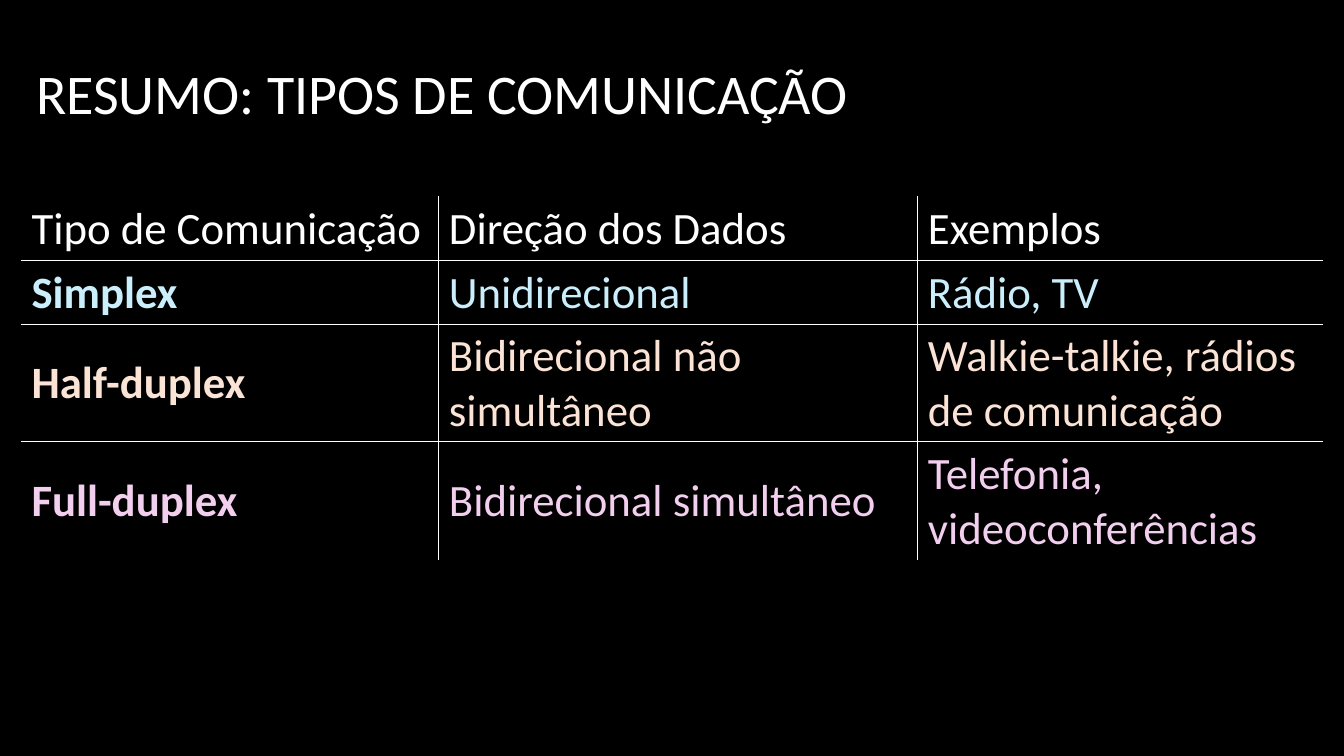
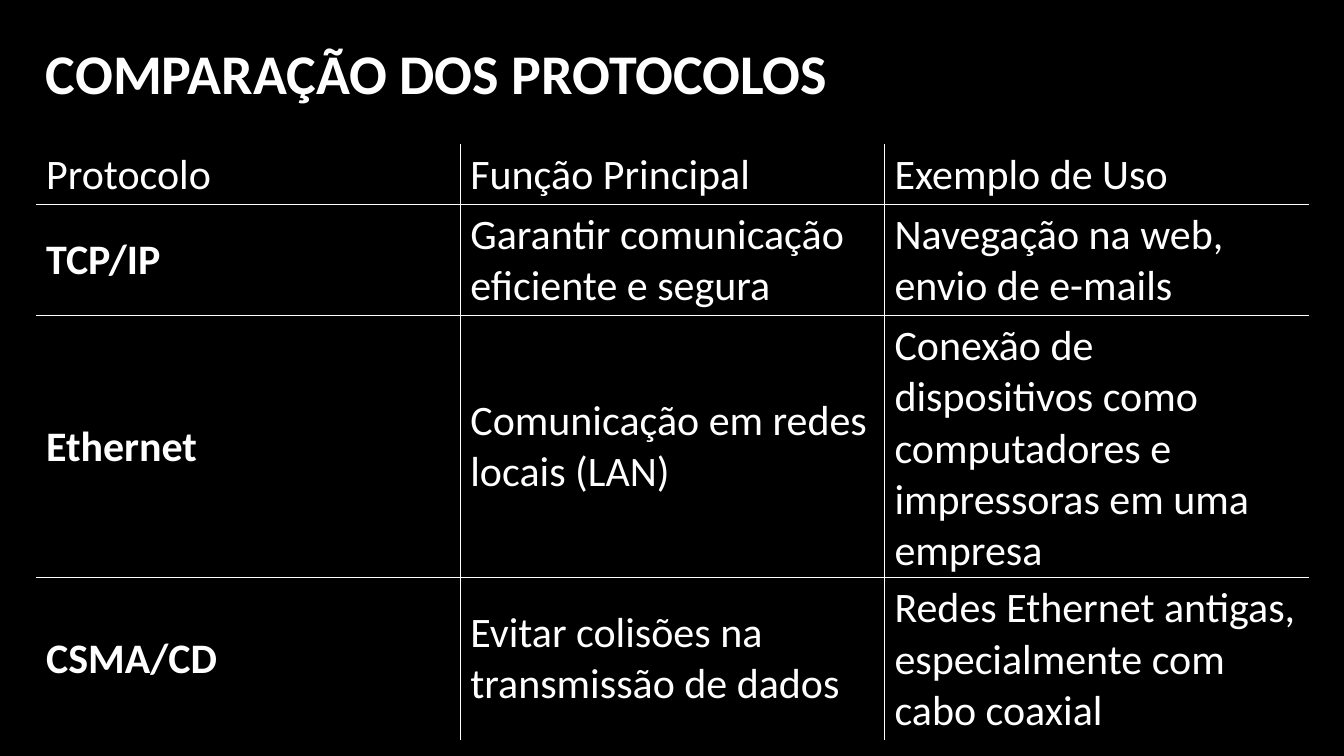
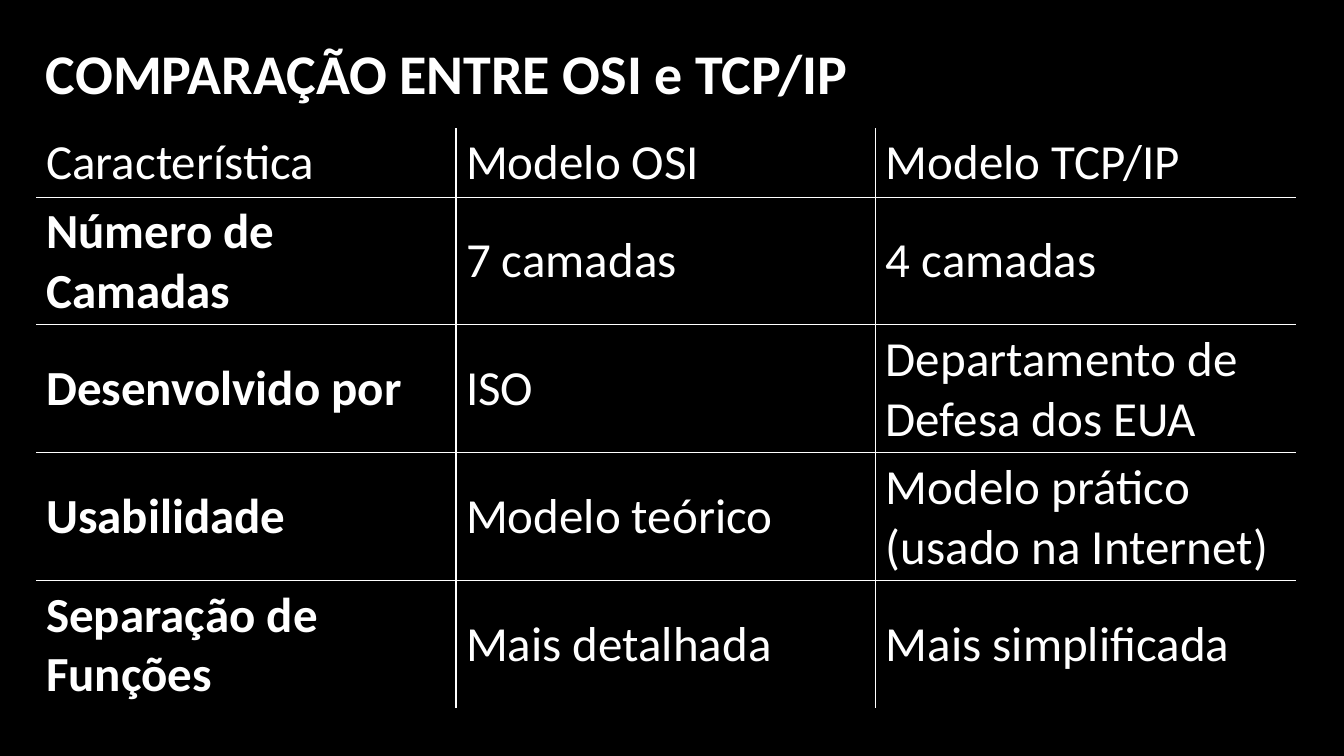
from dataclasses import dataclass

from lxml import etree
from pptx import Presentation
from pptx.dml.color import RGBColor
from pptx.enum.text import MSO_ANCHOR, MSO_AUTO_SIZE
from pptx.oxml.ns import qn
from pptx.slide import Slide
from pptx.table import _Cell
from pptx.text.text import _Paragraph
from pptx.util import Cm, Length, Pt

MIDDLE = MSO_ANCHOR.MIDDLE
GROW = MSO_AUTO_SIZE.SHAPE_TO_FIT_TEXT

BLACK = RGBColor(0x00, 0x00, 0x00)
WHITE = RGBColor(0xFF, 0xFF, 0xFF)
BLUE = RGBColor(0xCA, 0xEE, 0xFB)
PEACH = RGBColor(0xFB, 0xE3, 0xD6)
PINK = RGBColor(0xF2, 0xCF, 0xEE)

FONT = "Calibri"
LEFT = Cm(0.91)
RULE = Pt(1)


@dataclass(frozen=True)
class Title:
    text: str
    top: Length = Cm(0)
    width: Length = Cm(24.92)
    height: Length = Cm(2.57)
    bold: bool = True
    space: float | Length = 1.5
    flush: bool = False


@dataclass(frozen=True)
class Row:
    cells: tuple[str, ...]
    height: float
    tint: RGBColor = WHITE


@dataclass(frozen=True)
class Grid:
    left: Length
    top: Length
    widths: tuple[float, ...]
    size: int
    rows: tuple[Row, ...]


@dataclass(frozen=True)
class Page:
    title: Title
    grid: Grid


PAGES = (
    Page(
        Title("RESUMO: TIPOS DE COMUNICAÇÃO", Cm(0.86), Cm(24.49), Cm(2.11),
              False, Pt(65.3), True),
        Grid(Cm(0.54), Cm(4.95), (10.52, 12.07, 10.2), 32, (
            Row(("Tipo de Comunicação", "Direção dos Dados", "Exemplos"), 1.6),
            Row(("Simplex", "Unidirecional", "Rádio, TV"), 1.6, BLUE),
            Row(("Half-duplex", "Bidirecional não simultâneo",
                 "Walkie-talkie, rádios de comunicação"), 2.95, PEACH),
            Row(("Full-duplex", "Bidirecional simultâneo",
                 "Telefonia, videoconferências"), 2.95, PINK),
        )),
    ),
    Page(
        Title("COMPARAÇÃO DOS PROTOCOLOS"),
        Grid(LEFT, Cm(3.63), (10.69,) * 3, 30, (
            Row(("Protocolo", "Função Principal", "Exemplo de Uso"), 1.5),
            Row(("TCP/IP", "Garantir comunicação eficiente e segura",
                 "Navegação na web, envio de e-mails"), 2.8),
            Row(("Ethernet", "Comunicação em redes locais (LAN)",
                 "Conexão de dispositivos como computadores e "
                 "impressoras em uma empresa"), 6.6),
            Row(("CSMA/CD", "Evitar colisões na transmissão de dados",
                 "Redes Ethernet antigas, especialmente com cabo coaxial"), 4.08),
        )),
    ),
    Page(
        Title("COMPARAÇÃO ENTRE OSI e TCP/IP"),
        Grid(LEFT, Cm(3.23), (10.58,) * 3, 35, (
            Row(("Característica", "Modelo OSI", "Modelo TCP/IP"), 1.7),
            Row(("Número de Camadas", "7 camadas", "4 camadas"), 3.2),
            Row(("Desenvolvido por", "ISO", "Departamento de Defesa dos EUA"), 3.2),
            Row(("Usabilidade", "Modelo teórico",
                 "Modelo prático (usado na Internet)"), 3.2),
            Row(("Separação de Funções", "Mais detalhada", "Mais simplificada"), 3.2),
        )),
    ),
)


def style(para: _Paragraph, size: int, tint: RGBColor, bold: bool) -> None:
    font = para.font
    font.name = FONT
    font.size = Pt(size)
    font.bold = bold
    font.color.rgb = tint


def add_title(slide: Slide, title: Title) -> None:
    box = slide.shapes.add_textbox(LEFT, title.top, title.width, title.height)
    frame = box.text_frame
    frame.word_wrap = True
    frame.auto_size = GROW
    if title.flush:
        frame.margin_left = frame.margin_right = Cm(0)
        frame.margin_top = frame.margin_bottom = Cm(0)
    para = frame.paragraphs[0]
    para.text = title.text
    para.line_spacing = title.space
    style(para, 40, WHITE, title.bold)


def rule_cell(cell: _Cell, sides: dict[str, bool]) -> None:
    props = cell._tc.get_or_add_tcPr()
    for place, (side, shown) in enumerate(sides.items()):
        line = etree.Element(qn(f"a:ln{side}"), w=str(RULE))
        if shown:
            fill = etree.SubElement(line, qn("a:solidFill"))
            etree.SubElement(fill, qn("a:srgbClr"), val=str(WHITE))
        else:
            etree.SubElement(line, qn("a:noFill"))
        props.insert(place, line)


def add_grid(slide: Slide, grid: Grid) -> None:
    rows, cols = len(grid.rows), len(grid.widths)
    width = Cm(sum(grid.widths))
    height = Cm(sum(row.height for row in grid.rows))
    table = slide.shapes.add_table(
        rows, cols, grid.left, grid.top, width, height).table
    table.first_row = False
    table.horz_banding = False
    for col, wide in enumerate(grid.widths):
        table.columns[col].width = Cm(wide)
    for down, row in enumerate(grid.rows):
        table.rows[down].height = Cm(row.height)
        for col, text in enumerate(row.cells):
            cell = table.cell(down, col)
            cell.fill.background()
            cell.vertical_anchor = MIDDLE
            para = cell.text_frame.paragraphs[0]
            para.text = text
            style(para, grid.size, row.tint, down > 0 and col == 0)
            rule_cell(cell, {"L": col > 0, "R": col < cols - 1,
                             "T": down > 0, "B": down < rows - 1})


def main() -> None:
    deck = Presentation()
    deck.slide_width = Cm(33.87)
    deck.slide_height = Cm(19.05)
    blank = deck.slide_layouts[6]
    for page in PAGES:
        slide = deck.slides.add_slide(blank)
        back = slide.background.fill
        back.solid()
        back.fore_color.rgb = BLACK
        add_title(slide, page.title)
        add_grid(slide, page.grid)
    deck.save("out.pptx")


if __name__ == "__main__":
    main()
